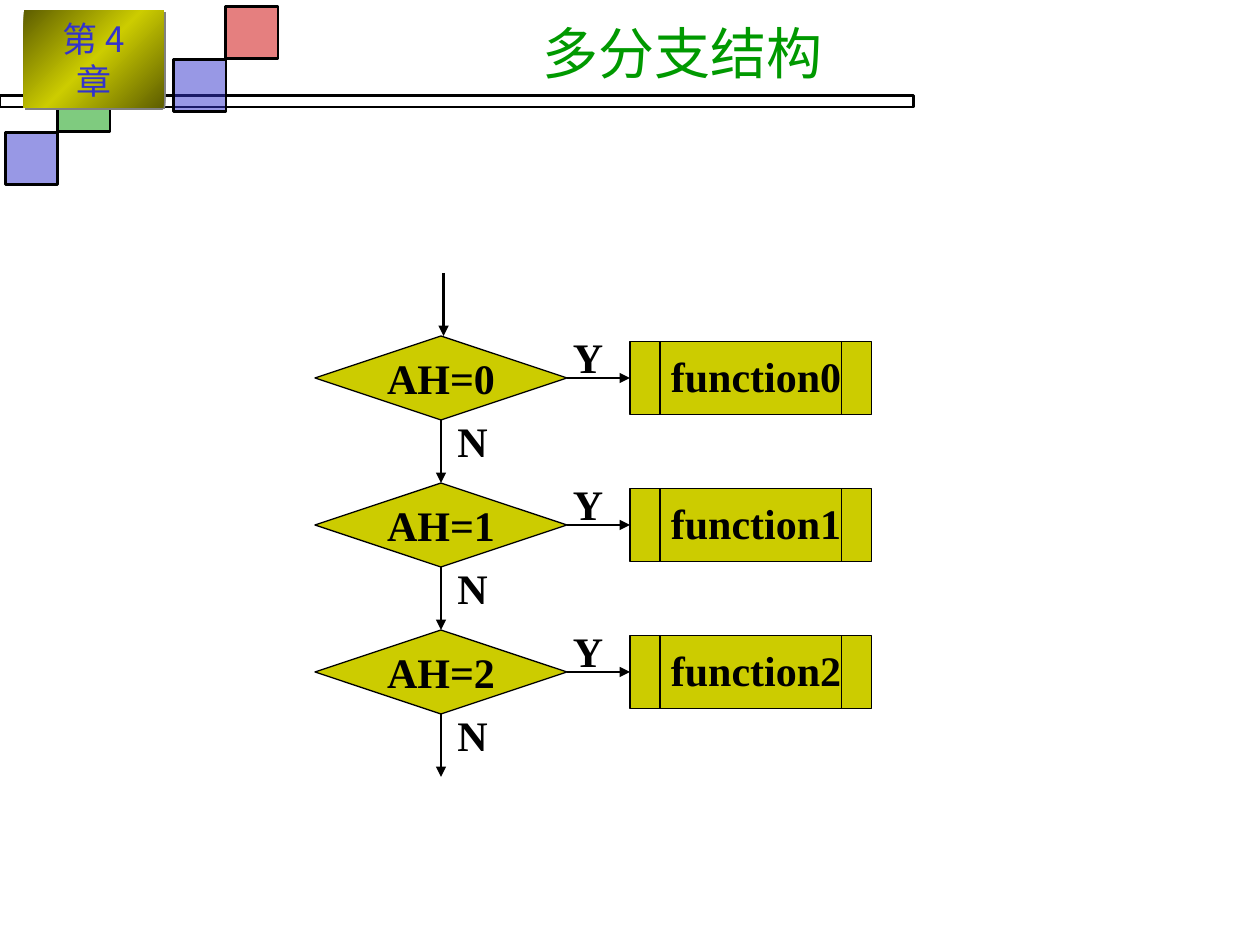
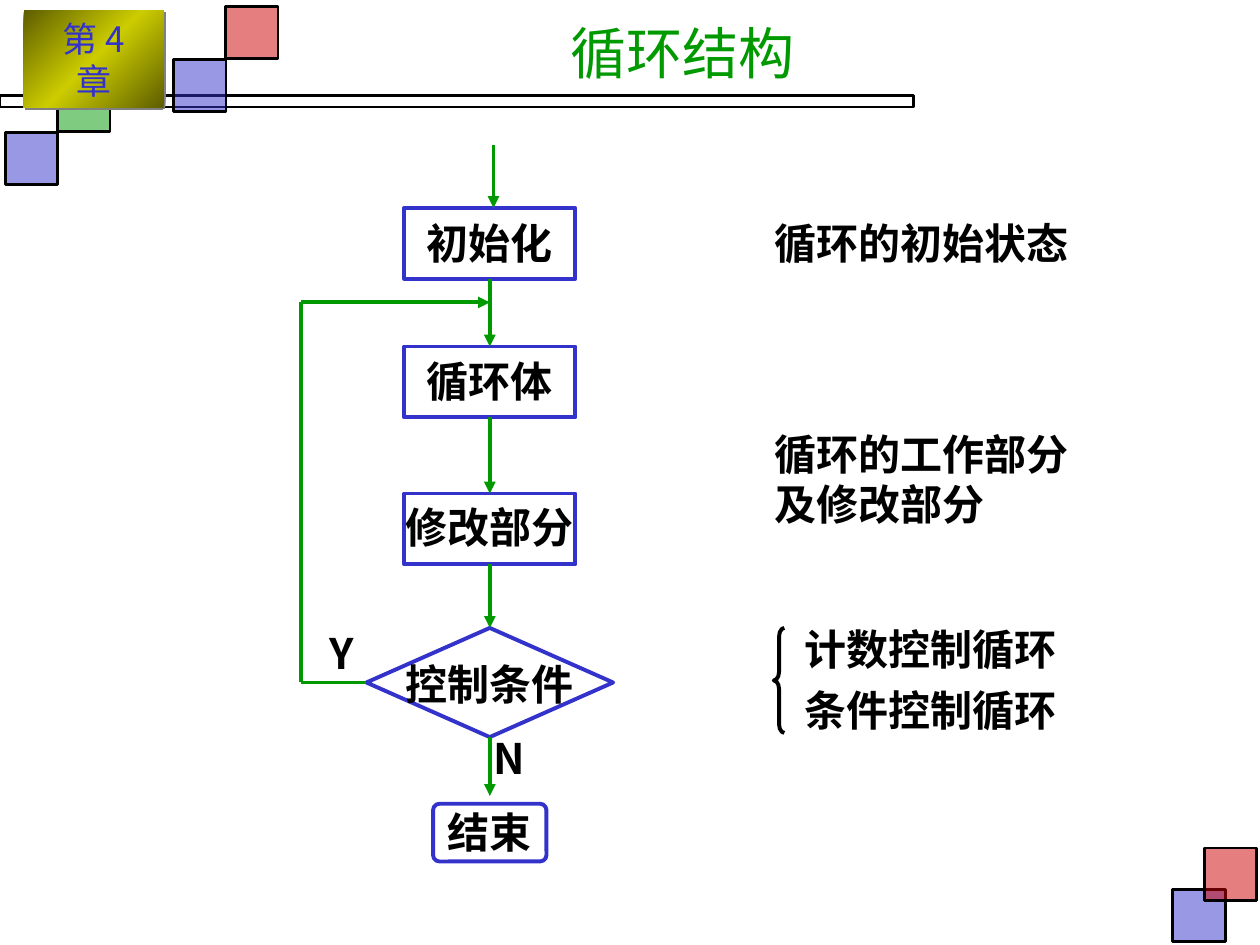
from copy import deepcopy

from lxml import etree
from pptx import Presentation
from pptx import util as u
from pptx.dml.color import RGBColor
from pptx.enum import shapes, text
from pptx.oxml.ns import qn

CELL = u.Inches(1) / 12
BLACK, BLUE, GREEN, RED = "000000", "3333CC", "009900", "CC0000"
OLIVE, DARK_OLIVE, GREY = "CCCC00", "5E5E00", "808080"
SERIF, SANS, SANS_JP, TITLE = "Times New Roman", "Noto Sans CJK SC", "Noto Sans CJK JP", "Roboto"
MARGINS = ("margin_left", "margin_right", "margin_top", "margin_bottom")
SHAPE, ALIGN = shapes.MSO_SHAPE, text.PP_ALIGN
TOP, LEFT, BOTTOM, RIGHT = range(4)


def rgb(value):
    """Return the colour for a hex string."""
    return RGBColor.from_string(value)


def cells(*values):
    """Turn grid cells (twelve to the inch) into lengths."""
    return [u.Emu(round(v * CELL)) for v in values]


def sub(parent, tag, **attrs):
    """Append a drawing element to parent."""
    return etree.SubElement(parent, qn(tag), attrs)


def assign(target, values):
    """Set the attributes of target from a dict."""
    for name, value in values.items():
        setattr(target, name, value)


def write(tf, lines, size, font, color=BLACK, bold=False, align=ALIGN.CENTER,
          gap=0, leading=None):
    """Write one formatted paragraph for each line."""
    for i, line in enumerate(lines):
        p = tf.paragraphs[0] if i == 0 else tf.add_paragraph()
        assign(p, {"alignment": align, "line_spacing": leading,
                   "space_before": u.Pt(gap if i else 0)})
        r = p.add_run()
        r.text = line
        assign(r.font, {"name": font, "size": u.Pt(size), "bold": bold})
        r.font.color.rgb = rgb(color)
        east_asian = SANS if font in (SERIF, TITLE) else font
        sub(r._r.get_or_add_rPr(), "a:ea", typeface=east_asian)


def caption(s, at, *lines, font=SANS, align=ALIGN.JUSTIFY, inset=0, gap=0):
    """Add a bold label; labels without an inset do not wrap."""
    tf = s.shapes.add_textbox(*cells(*at)).text_frame
    assign(tf, dict.fromkeys(MARGINS[:2], u.Inches(inset)))
    assign(tf, dict.fromkeys(MARGINS[2:], u.Inches(inset / 2)))
    tf.word_wrap = inset > 0
    leading = u.Pt(28.8) if font == SANS else None
    write(tf, lines, 24, font, bold=True, align=align, gap=gap, leading=leading)


def block(s, kind, at, fill=None, line=BLACK, width=1.5, alpha=None, adjust=None):
    """Add a preset shape with a plain fill and outline."""
    sp = s.shapes.add_shape(kind, *cells(*at))
    sp.shadow.inherit = False
    if fill:
        sp.fill.solid()
        sp.fill.fore_color.rgb = rgb(fill)
    else:
        sp.fill.background()
    if alpha:
        color = sp._element.spPr.find(qn("a:solidFill"))[0]
        sub(color, "a:alpha", val=str(alpha * 1000))
    if line:
        sp.line.color.rgb = rgb(line)
        sp.line.width = u.Pt(width)
    else:
        sp.line.fill.background()
    if adjust is not None:
        sp.adjustments[0] = adjust
    return sp


def link(s, start, end, color=BLACK, width=1.5, arrow=True):
    """Join two ends, each a point in cells or a (shape, side) pair."""
    points = [(0, 0) if hasattr(e[0], "shape_id") else e for e in (start, end)]
    c = s.shapes.add_connector(shapes.MSO_CONNECTOR.STRAIGHT,
                               *cells(*points[0], *points[1]))
    for e, connect in ((start, c.begin_connect), (end, c.end_connect)):
        if hasattr(e[0], "shape_id"):
            connect(*e)
    c.line.color.rgb = rgb(color)
    c.line.width = u.Pt(width)
    if arrow:
        sub(c.line._get_or_add_ln(), "a:tailEnd", type="triangle")
    sub(c._element.spPr, "a:effectLst")


def chapter_badge(s):
    """Add the shaded chapter badge."""
    sp = block(s, SHAPE.RECTANGLE, (2.25, 1, 13.35, 9.25), line=None)
    sp.fill.gradient()
    sp.fill.gradient_angle = 315
    stops = sp._element.spPr.find(".//" + qn("a:gsLst"))
    stops.append(deepcopy(stops[0]))
    shades = (DARK_OLIVE, OLIVE, DARK_OLIVE)
    for i, (stop, shade) in enumerate(zip(sp.fill.gradient_stops, shades)):
        stop.position = i / 2
        stop.color.rgb = rgb(shade)
    shadow = sub(sp._element.spPr.find(qn("a:effectLst")), "a:outerShdw",
                 dist=str(u.Pt(1.4)), dir="2700000", algn="ctr", rotWithShape="0")
    sub(shadow, "a:srgbClr", val=GREY)
    tf = sp.text_frame
    assign(tf, dict(zip(MARGINS, map(u.Inches, (0.2, 0.2, 0.05, 0.05)))))
    assign(tf, {"word_wrap": True, "vertical_anchor": text.MSO_ANCHOR.MIDDLE})
    write(tf, ["第 4 章"], 20, SANS_JP, BLUE, leading=u.Pt(24))


def new_slide(prs, title, corner=False):
    """Add a slide with the shared band, squares, badge and title."""
    s = prs.slides.add_slide(prs.slide_layouts[5])
    block(s, SHAPE.RECTANGLE, (0, 9.1, 87, 1.1))
    squares = [(16.55, 5.65, BLUE), (0.5, 12.6, BLUE), (5.5, 7.55, GREEN), (21.5, 0.6, RED)]
    if corner:
        squares += [(111.7, 84.7, BLUE), (114.7, 80.75, RED)]
    for x, y, color in squares:
        block(s, SHAPE.RECTANGLE, (x, y, 5, 5), color, alpha=50)
    chapter_badge(s)
    ph = s.shapes.title
    assign(ph, dict(zip(("left", "top", "width", "height"), cells(25.5, 1, 79, 8))))
    assign(ph.text_frame, {"vertical_anchor": text.MSO_ANCHOR.MIDDLE,
                           "auto_size": text.MSO_AUTO_SIZE.NONE})
    write(ph.text_frame, [title], 32, TITLE, GREEN)
    return s


def branch_slide(prs):
    """Build the multi-way branch flowchart."""
    s = new_slide(prs, "多分支结构")
    label = {"font": SERIF, "align": ALIGN.CENTER, "inset": 0.1}
    first, step, count = 32, 14, 3
    rows = [first + step * i for i in range(count)]
    tests = [block(s, SHAPE.FLOWCHART_DECISION, (30, y, 24, 8), OLIVE, width=0.75)
             for y in rows]
    link(s, (42.25, first - 6), (42.25, first))
    exits = [(t, TOP) for t in tests[1:]] + [(42, first + step * count)]
    for i, (y, test, after) in enumerate(zip(rows, tests, exits)):
        call = block(s, SHAPE.FLOWCHART_PREDEFINED_PROCESS, (60, y + 0.5, 23, 7),
                     OLIVE, width=0.75)
        link(s, (test, RIGHT), (call, LEFT))
        link(s, (test, BOTTOM), after)
        caption(s, (35, y + 1, 14, 6), f"AH={i}", **label)
        caption(s, (61, y + 0.75, 22, 6), f"function{i}", **label)
        caption(s, (51, y - 1, 10, 6), "Y", **label)
        caption(s, (40, y + 7, 10, 6), "N", **label)


def loop_slide(prs):
    """Build the loop flowchart and its notes."""
    s = new_slide(prs, "循环结构", corner=True)
    pen = {"line": BLUE, "width": 2.25}
    flow = {"color": GREEN, "width": 2.25}
    axis = 46.65
    steps = [
        (SHAPE.RECTANGLE, 19.8, 16.3, 6.75, "初始化", 20.75, 12, None),
        (SHAPE.RECTANGLE, 33, 16.3, 6.75, "循环体", 33.85, 12, None),
        (SHAPE.RECTANGLE, 47, 16.3, 6.75, "修改部分", 47.8, 16, None),
        (SHAPE.DIAMOND, 59.8, 23.5, 10.4, "控制条件", 62.75, 16, None),
        (SHAPE.ROUNDED_RECTANGLE, 76.55, 10.8, 5.5, "结束", 76.8, 8, 0.11),
    ]
    nodes = []
    for kind, y, w, h, words, text_y, text_w, adjust in steps:
        nodes.append(block(s, kind, (axis - w / 2, y, w, h), adjust=adjust, **pen))
        caption(s, (axis - text_w / 2, text_y, text_w, 4.8), words, align=ALIGN.CENTER)
    link(s, (47, 13.8), (47, 19.8), **flow)
    for above, below in zip(nodes[:3], nodes[1:4]):
        link(s, (above, BOTTOM), (below, TOP), **flow)
    test = nodes[3]
    link(s, (test, BOTTOM), (axis, 75.8), **flow)
    back_x, back_y, test_y = 28.7, 28.8, 65
    link(s, (test, LEFT), (back_x, test_y), arrow=False, **flow)
    link(s, (back_x, test_y), (back_x, back_y), arrow=False, **flow)
    link(s, (back_x, back_y), (axis, back_y), **flow)
    caption(s, (31.4, 59.8, 2.5, 4.8), "Y")
    caption(s, (47, 69.8, 3.25, 4.8), "N")
    caption(s, (73.8, 20.75, 28, 4.8), "循环的初始状态")
    caption(s, (73.8, 40.8, 28, 9.6), "循环的工作部分", "及修改部分")
    caption(s, (76.6, 59.4, 24, 10.6), "计数控制循环", "条件控制循环", gap=6)
    block(s, SHAPE.LEFT_BRACE, (73.7, 59.8, 1, 10), width=2.25, adjust=0.83)


def main():
    """Build and save the slides."""
    prs = Presentation()
    prs.slide_width, prs.slide_height = u.Inches(10), u.Inches(7.5)
    branch_slide(prs)
    loop_slide(prs)
    prs.save("out.pptx")


if __name__ == "__main__":
    main()
